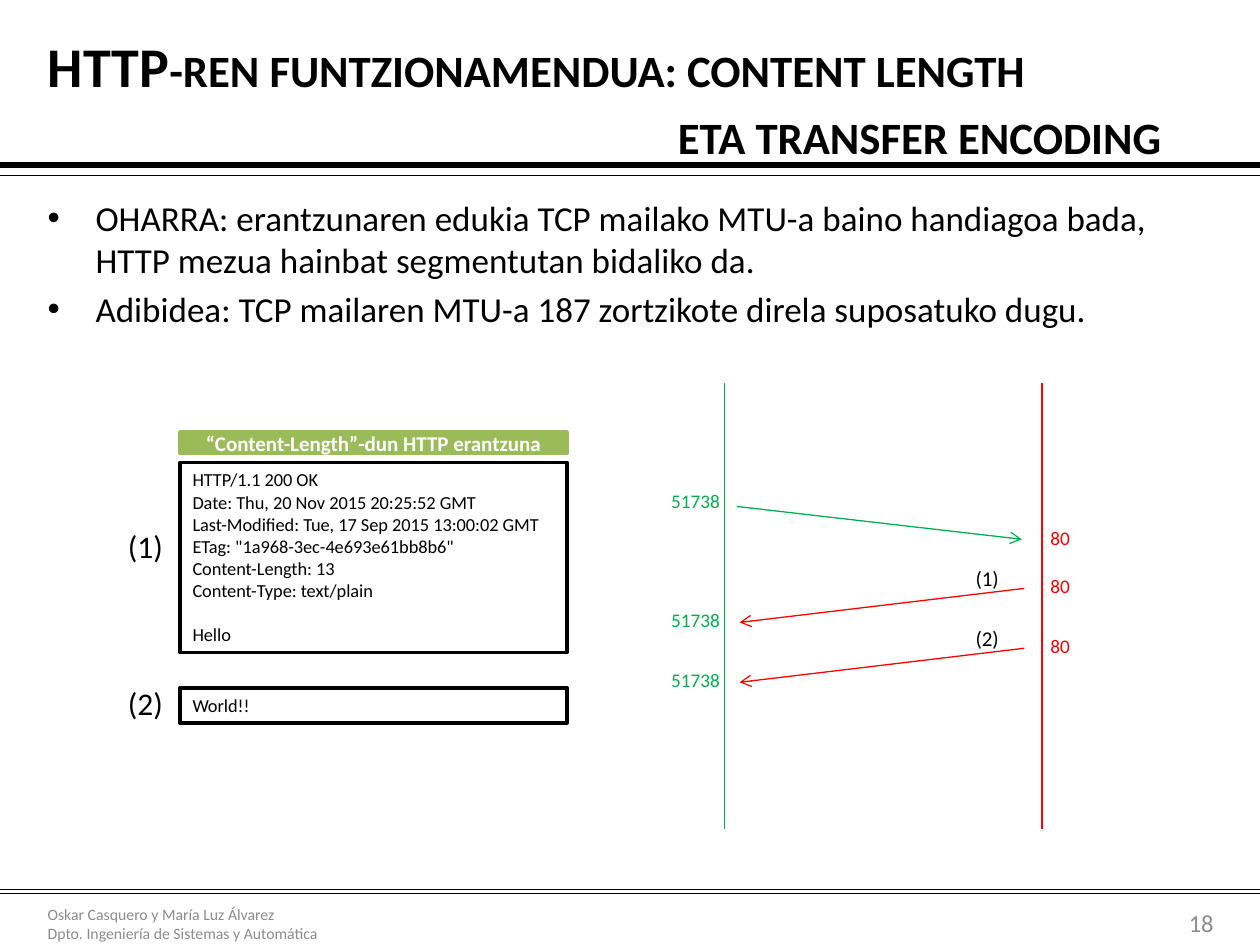
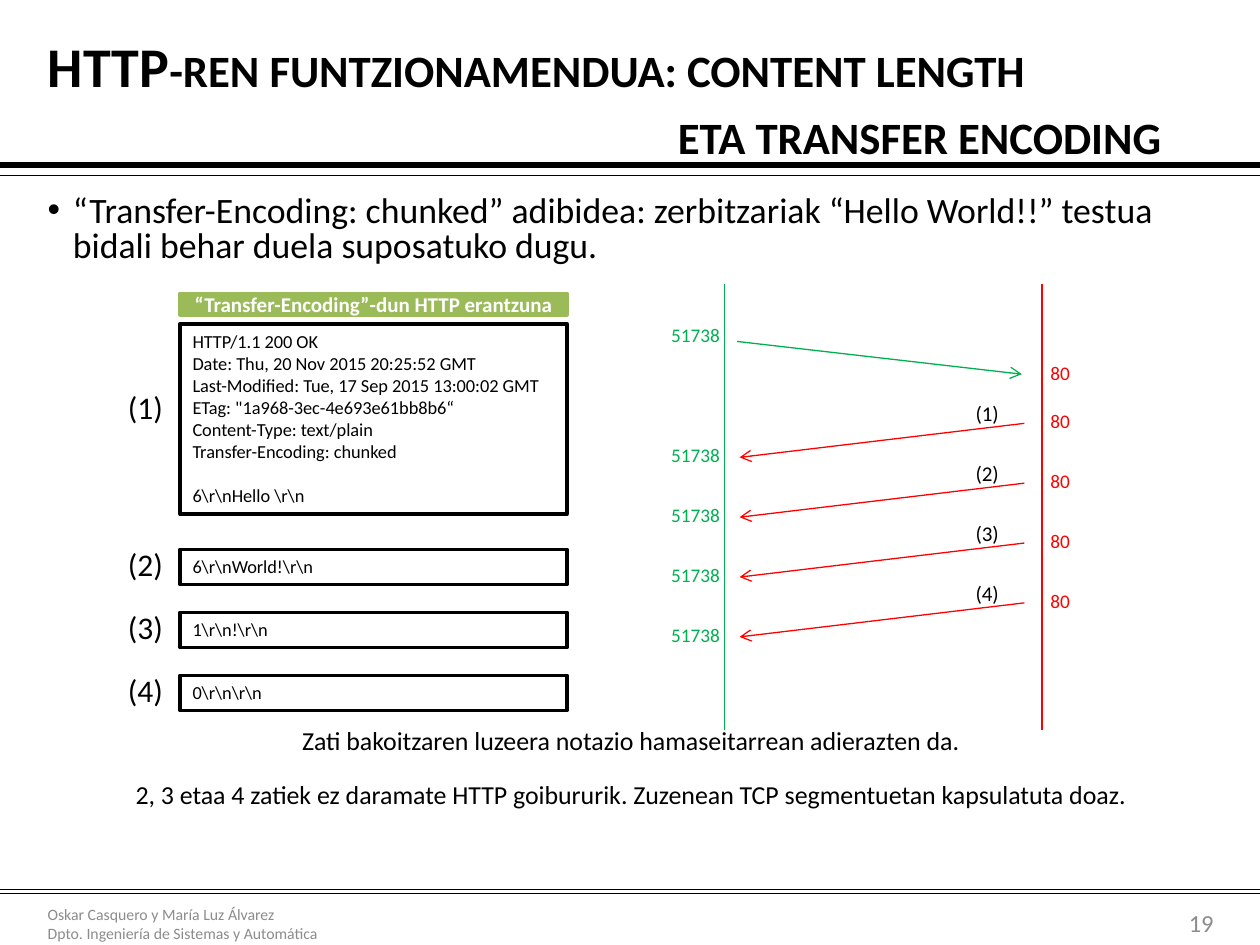
from pptx import Presentation
from pptx.dml.color import RGBColor
from pptx.enum.shapes import MSO_CONNECTOR, MSO_SHAPE
from pptx.enum.text import MSO_ANCHOR, PP_ALIGN
from pptx.oxml.ns import qn
from pptx.util import Inches, Pt
from lxml.etree import SubElement

INK = {"black": "000000", "white": "FFFFFF", "gray": "8C8C8C",
       "olive": "9BBB59", "green": "00B050", "red": "FF0000"}
FONT = "Calibri"
TITLE = ["HTTP-ren funtzionamendua: content length", "eta transfer encoding"]
FOOTER = ["Oskar Casquero y María Luz Álvarez", "Dpto. Ingeniería de Sistemas y Automática"]
HEAD = ["HTTP/1.1 200 OK", "Date: Thu, 20 Nov 2015 20:25:52 GMT",
        "Last-Modified: Tue, 17 Sep 2015 13:00:02 GMT"]
CLIENT, SERVER = "51738", "80"


def rgb(name):
    """Return the palette colour called name."""
    return RGBColor.from_string(INK[name])


def style(para, size, color="black", align=PP_ALIGN.LEFT, bold=False):
    """Set the font and alignment of a paragraph."""
    font = para.font
    font.name, font.size, font.bold = FONT, Pt(size), bold
    font.color.rgb = rgb(color)
    para.alignment = align


def write(frame, lines, size, color="black", align=PP_ALIGN.LEFT,
          anchor=MSO_ANCHOR.TOP, bold=False):
    """Fill a text frame with one paragraph per line."""
    frame.text = "\n".join(lines)
    frame.word_wrap = True
    frame.vertical_anchor = anchor
    for para in frame.paragraphs:
        style(para, size, color, align, bold)
    return frame.paragraphs


def label(slide, box, lines, size, **look):
    """Add a text box and return its paragraphs."""
    shape = slide.shapes.add_textbox(*map(Inches, box))
    return write(shape.text_frame, lines, size, **look)


def line(slide, start, end, color="black", width=0.75, arrow=False):
    """Draw a straight line, with an arrowhead at its end if asked."""
    link = slide.shapes.add_connector(MSO_CONNECTOR.STRAIGHT, *map(Inches, start + end))
    link.line.color.rgb = rgb(color)
    link.line.width = Pt(width)
    props = link._element.spPr
    if arrow:
        SubElement(props.find(qn("a:ln")), qn("a:tailEnd"), type="arrow")
    SubElement(props, qn("a:effectLst"))


def panel(slide, box, edge="black", fill=None):
    """Add an outlined rectangle and return its text frame."""
    shape = slide.shapes.add_shape(MSO_SHAPE.RECTANGLE, *map(Inches, box))
    shape.shadow.inherit = False
    shape.line.color.rgb = rgb(edge)
    shape.line.width = Pt(2)
    if fill:
        shape.fill.solid()
        shape.fill.fore_color.rgb = rgb(fill)
    else:
        shape.fill.background()
    return shape.text_frame


def frame(deck, number):
    """Add a slide with its title, rules, footer and number."""
    slide = deck.slides.add_slide(deck.slide_layouts[5])
    for y, width in ((1.31, 3), (1.39, 0.25), (7.06, 0.25), (7.09, 0.25)):
        line(slide, (0, y), (10, y), width=width)
    title = slide.shapes.title
    title.left, title.top, title.width, title.height = map(Inches, (0.28, 0.29, 9.45, 0.98))
    paras = write(title.text_frame, TITLE, 32, anchor=MSO_ANCHOR.MIDDLE, bold=True)
    for para in paras:
        para.space_before = Pt(0)
        for run in para.runs:
            run.font._element.set("cap", "small")
    paras[1]._p.get_or_add_pPr().set("marL", str(Inches(5)))
    label(slide, (0.28, 7.13, 3.7, 0.4), FOOTER, 9, color="gray", anchor=MSO_ANCHOR.MIDDLE)
    label(slide, (8.94, 7.18, 0.79, 0.28), [number], 14, color="gray",
          align=PP_ALIGN.RIGHT, anchor=MSO_ANCHOR.MIDDLE)
    return slide


def bullets(slide, box, lines, size, indent, pitch=1.0):
    """Add a bulleted list with a hanging indent."""
    for para in label(slide, box, lines, size):
        para.space_before = Pt(size / 5)
        para.line_spacing = pitch
        props = para._p.get_or_add_pPr()
        props.set("marL", str(Inches(indent)))
        props.set("indent", str(-Inches(indent)))
        SubElement(props, qn("a:buFont"), typeface="Arial")
        SubElement(props, qn("a:buChar"), char="•")


def reply(slide, x, y, name, head, body, chunks):
    """Draw a response: caption, first segment and further chunks."""
    left, wide = x + 0.55, 3.07
    bar = panel(slide, (left, y, wide, 0.17), "olive", "olive")
    bar.margin_top = bar.margin_bottom = 0
    write(bar, [f"“{name}”-dun HTTP erantzuna"], 12, "white",
          PP_ALIGN.CENTER, MSO_ANCHOR.MIDDLE, True)
    paras = write(panel(slide, (left, y + 0.24, wide, 1.51)), head + [body], 10.5)
    paras[-1].space_before = Pt(12.8)
    tops = [y + 0.7]
    for i, chunk in enumerate(chunks):
        top = y + 2.03 + 0.5 * i
        write(panel(slide, (left, top, wide, 0.28)), [chunk], 10.5)
        tops.append(top - 0.08)
    for i, top in enumerate(tops, 1):
        label(slide, (x, top, 0.55, 0.4), [f"({i})"], 18, align=PP_ALIGN.CENTER)


def ports(slide, x, near, far):
    """Name the client port at height near and the server port at far."""
    label(slide, (x - 0.56, near, 0.66, 0.29), [CLIENT], 11, color="green",
          align=PP_ALIGN.CENTER)
    label(slide, (x + 2.46, far, 0.41, 0.29), [SERVER], 11, color="red",
          align=PP_ALIGN.CENTER)


def flow(slide, x, y, ask, count):
    """Draw two lifelines, a request ask below the top, and count replies."""
    for pos, color in ((x, "green"), (x + 2.52, "red")):
        line(slide, (pos, y), (pos, y + 3.54), color)
    top = y + ask
    line(slide, (x + 0.1, top), (x + 2.36, top + 0.26), "green", arrow=True)
    ports(slide, x, top - 0.19, top + 0.11)
    for i in range(count):
        out = top + 0.65 + 0.475 * i
        back = out + 0.27
        line(slide, (x + 2.38, out), (x + 0.12, back), "red", arrow=True)
        ports(slide, x, back - 0.16, out - 0.16)
        label(slide, (x + 1.83, out - 0.23, 0.51, 0.3), [f"({i + 1})"], 12,
              align=PP_ALIGN.CENTER)


def length(deck):
    """Build the slide about Content-Length."""
    slide = frame(deck, "18")
    bullets(slide, (0.28, 1.51, 9.45, 1.3), [
        "OHARRA: erantzunaren edukia TCP mailako MTU-a baino handiagoa bada, "
        "HTTP mezua hainbat segmentutan bidaliko da.",
        "Adibidea: TCP mailaren MTU-a 187 zortzikote direla suposatuko dugu."], 20, 0.38)
    reply(slide, 0.88, 3.43, "Content-Length",
          HEAD + ['ETag: "1a968-3ec-4e693e61bb8b6"', "Content-Length: 13",
                  "Content-Type: text/plain"], "Hello", ["World!!"])
    flow(slide, 5.75, 3.04, 0.98, 2)


def coding(deck):
    """Build the slide about Transfer-Encoding."""
    slide = frame(deck, "19")
    bullets(slide, (0.28, 1.51, 9.45, 0.7), [
        "“Transfer-Encoding: chunked” adibidea: zerbitzariak “Hello World!!” testua "
        "bidali behar duela suposatuko dugu."], 20.4, 0.2, 0.8)
    reply(slide, 0.88, 2.33, "Transfer-Encoding",
          HEAD + ['ETag: "1a968-3ec-4e693e61bb8b6“', "Content-Type: text/plain",
                  "Transfer-Encoding: chunked"], r"6\r\nHello \r\n",
          [r"6\r\nWorld!\r\n", r"1\r\n!\r\n", r"0\r\n\r\n"])
    flow(slide, 5.75, 2.25, 0.46, 4)
    notes = label(slide, (0.28, 5.7, 9.45, 0.8), [
        "Zati bakoitzaren luzeera notazio hamaseitarrean adierazten da.",
        "2, 3 etaa 4 zatiek ez daramate HTTP goibururik. "
        "Zuzenean TCP segmentuetan kapsulatuta doaz."], 14.8, align=PP_ALIGN.CENTER)
    notes[1].space_before = Pt(13)


def main():
    """Build and save the deck."""
    deck = Presentation()
    deck.slide_width, deck.slide_height = Inches(10), Inches(7.5)
    length(deck)
    coding(deck)
    deck.save("out.pptx")


main()
